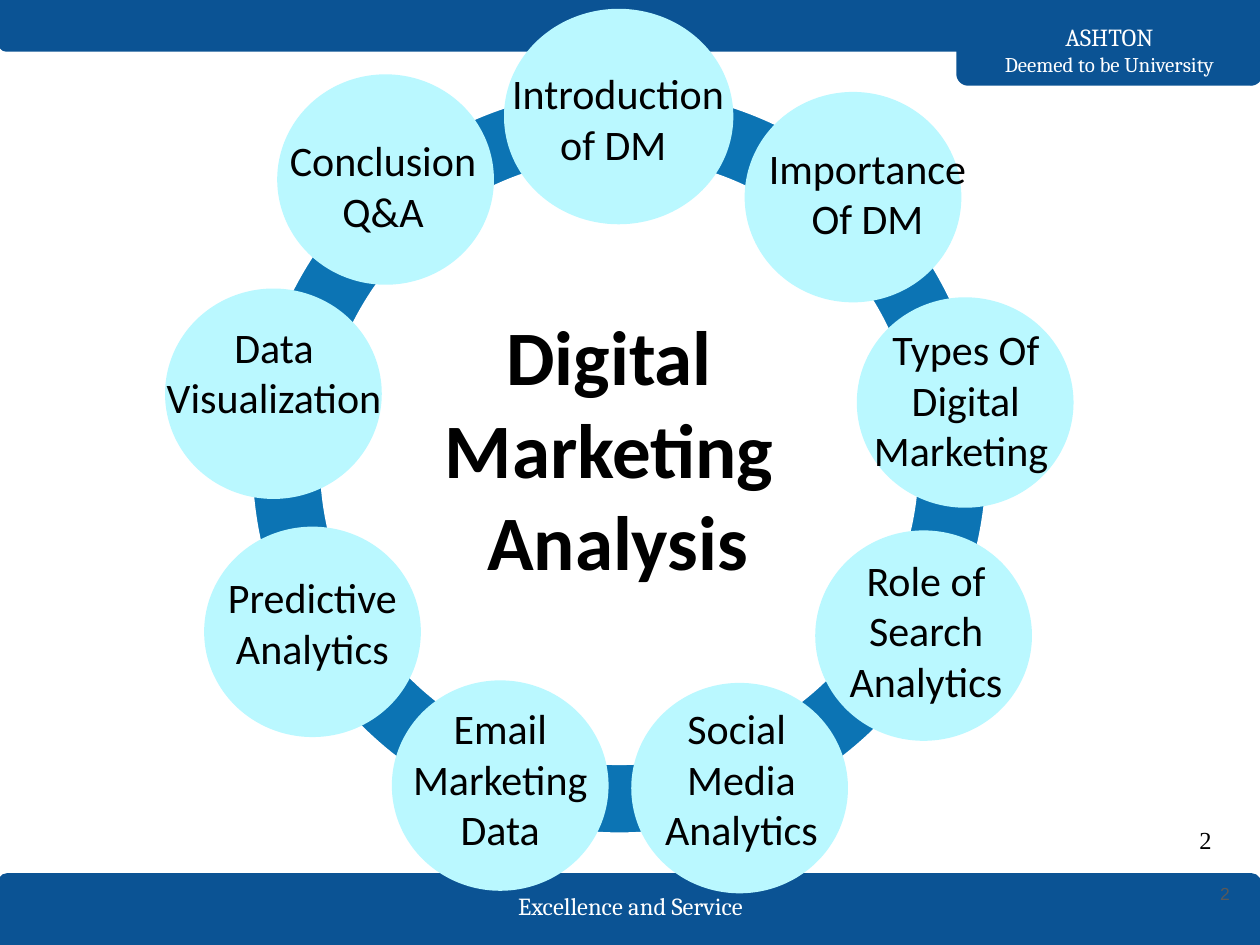
"""Build the agenda slide: nine topics on a ring around the title."""
from pptx import Presentation, util as u
from pptx.dml.color import RGBColor
from pptx.enum import shapes, text

COLORS = {"band": "0B5394", "ring": "0C74B4", "bubble": "BAF8FF",
          "white": "FFFFFF", "black": "000000", "grey": "595959"}
TITLE = "Digital \nMarketing \nAnalysis"
BANDS = [((-0.01, 6.94, 10.01, 0.56), 0),
         ((7.6, 0, 2.41, 0.67), 180),
         ((0, 0, 10.01, 0.4), 180)]
BUBBLE = (1.72, 1.67)
FIRST_BUBBLE = (1.82, 1.71)
LINE_HEIGHT, PADDING = 0.4, 0.11

# topic, bubble left and top, label left, top and width, label lines
TOPICS = [
    ("Introduction of DM ", (4, 0.07), (3.91, 0.49, 1.99), 2),
    ("Importance\nOf DM", (5.91, 0.73), (5.92, 1.08, 1.93), 2),
    ("Types Of Digital Marketing ", (6.8, 2.36), (6.74, 2.52, 1.85), 3),
    ("Role of Search Analytics", (6.47, 4.21), (6.47, 4.35, 1.76), 3),
    ("Social \nMedia Analytics", (5.01, 5.42), (5.05, 5.53, 1.67), 3),
    ("Email Marketing Data", (3.11, 5.4), (3.06, 5.53, 1.82), 3),
    ("Predictive Analytics", (1.62, 4.18), (1.48, 4.49, 2), 2),
    ("Data Visualization", (1.31, 2.29), (1.04, 2.5, 2.27), 2),
    ("Conclusion\nQ&A", (2.2, 0.59), (2.17, 1.02, 1.74), 2),
]
CENTER, LEFT, RIGHT = text.PP_ALIGN.CENTER, text.PP_ALIGN.LEFT, text.PP_ALIGN.RIGHT
TOP, MIDDLE = text.MSO_ANCHOR.TOP, text.MSO_ANCHOR.MIDDLE


def rgb(name):
    return RGBColor.from_string(COLORS[name])


def inches(box):
    return [u.Inches(v) for v in box]


def add_shape(parent, kind, box, fill, line=None, width=0, adjust=()):
    shape = parent.add_shape(kind, *inches(box))
    shape.shadow.inherit = False
    shape.fill.solid()
    shape.fill.fore_color.rgb = rgb(fill)
    if line:
        shape.line.color.rgb = rgb(line)
        shape.line.width = u.Pt(width)
    else:
        shape.line.fill.background()
    for i, value in enumerate(adjust):
        shape.adjustments[i] = value
    return shape


def write(shape, words, sizes, font="Calibri", color="black", align=CENTER,
          anchor=TOP, bold=False):
    tf = shape.text_frame
    tf.text = words
    frame = {"word_wrap": True, "vertical_anchor": anchor,
             "auto_size": text.MSO_AUTO_SIZE.NONE}
    for name, value in frame.items():
        setattr(tf, name, value)
    for i, p in enumerate(tf.paragraphs):
        p.alignment = align
        look = {"name": font, "size": u.Pt(sizes[min(i, len(sizes) - 1)]), "bold": bold}
        for r in p.runs:
            for name, value in look.items():
                setattr(r.font, name, value)
            r.font.color.rgb = rgb(color)


def add_text(parent, box, words, sizes, **look):
    write(parent.add_textbox(*inches(box)), words, sizes, **look)


def main():
    prs = Presentation()
    prs.slide_width, prs.slide_height = u.Inches(10), u.Inches(7.5)
    s = prs.slides.add_slide(prs.slide_layouts[5])

    for box, turn in BANDS:
        band = add_shape(s.shapes, shapes.MSO_SHAPE.ROUND_2_SAME_RECTANGLE, box,
                         "band", "band", 1.5, (0.125, 0))
        band.rotation = turn
    banner = {"font": "Cambria", "color": "white", "anchor": MIDDLE}
    add_text(s.shapes, (3.66, 7.03, 2.69, 0.32), "Excellence and Service", [14], **banner)
    add_text(s.shapes, (7.6, 0.27, 2.41, 0.25), "ASHTON\nDeemed to be University",
             [14, 12], **banner)

    title = s.shapes.title
    title.left, title.top, title.width, title.height = inches((3.1, 2.4, 3.61, 2.32))
    write(title, TITLE, [44], bold=True)

    ring = s.shapes.add_group_shape().shapes
    add_shape(ring, shapes.MSO_SHAPE.DONUT, (1.99, 0.7, 5.85, 5.92),
              "ring", "white", 2, (0.096,))
    for i, (_, corner, _, _) in enumerate(TOPICS):
        size = BUBBLE if i else FIRST_BUBBLE
        add_shape(ring, shapes.MSO_SHAPE.OVAL, corner + size, "bubble")
    for topic, _, place, lines in TOPICS:
        add_text(ring, place + (PADDING + lines * LINE_HEIGHT,), topic, [24])

    add_text(s.shapes, (9.42, 6.5, 0.28, 0.34), "2", [14],
             font="Times New Roman", align=LEFT)
    add_text(s.shapes, (9.36, 6.94, 0.5, 0.3), "2", [10], font="Arial",
             color="grey", align=RIGHT, anchor=MIDDLE)
    prs.save("out.pptx")


if __name__ == "__main__":
    main()
